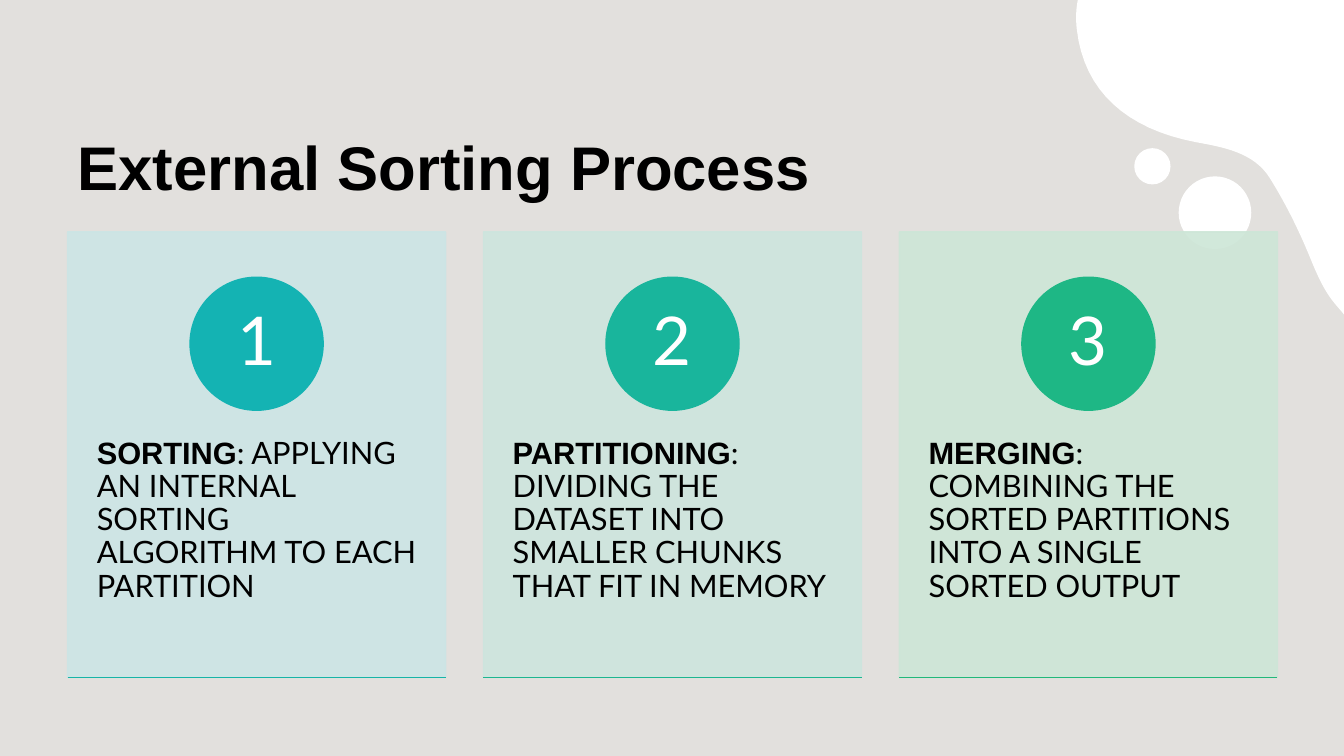
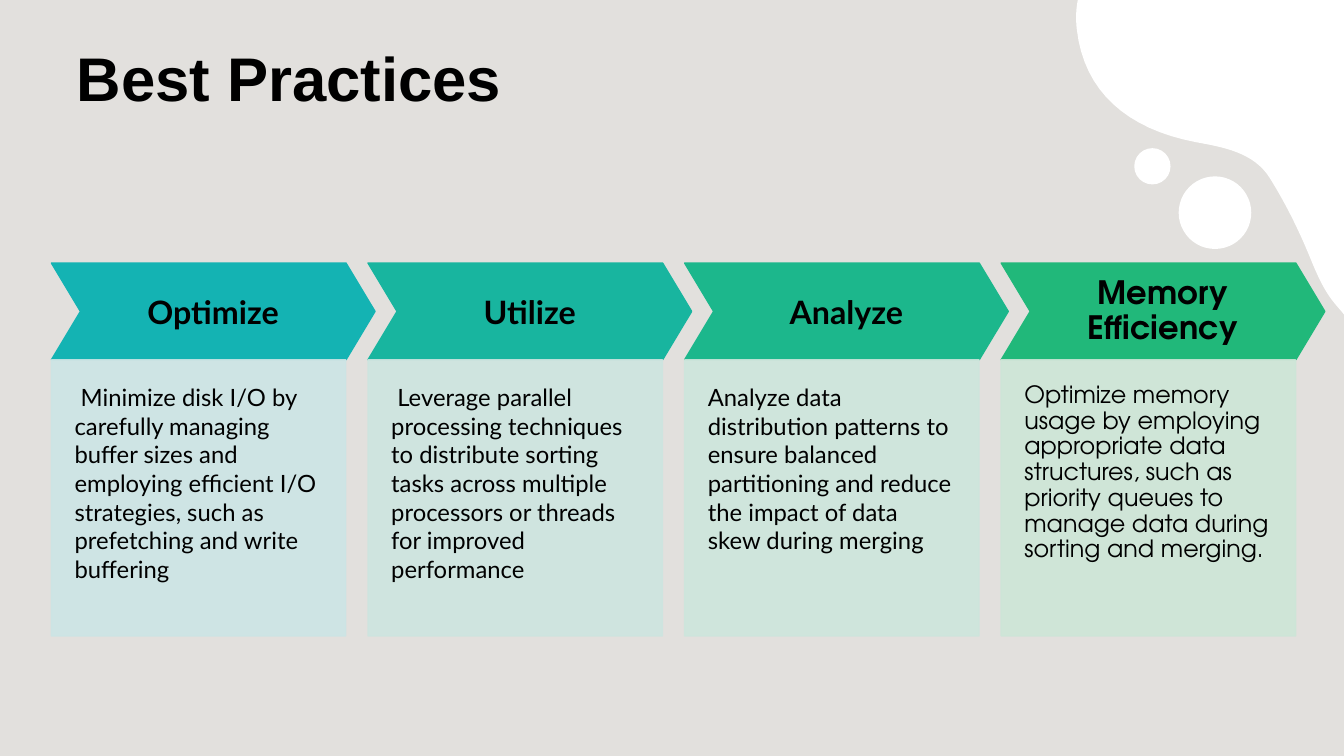
from dataclasses import dataclass

from lxml.etree import SubElement
from pptx import Presentation
from pptx.dml.color import RGBColor
from pptx.enum.shapes import MSO_CONNECTOR as Connector, MSO_SHAPE as Preset
from pptx.enum.text import MSO_ANCHOR as Anchor, MSO_AUTO_SIZE as AutoSize, PP_ALIGN as Align
from pptx.oxml.ns import qn
from pptx.util import Inches, Pt


@dataclass(frozen=True)
class Theme:
    background: str = "E2E0DD"
    white: str = "FFFFFF"
    ink: str = "000000"
    heading_font: str = "Arial"
    body_font: str = "Lato"
    accent_font: str = "TeX Gyre Adventor"
    title_size: int = 44
    number_size: int = 48
    card_size: int = 22
    step_size: int = 23
    detail_size: int = 17
    panel_opacity: int = 90
    tight: float = 0.9


@dataclass(frozen=True)
class Box:
    left: float
    top: float
    width: float
    height: float

    def inches(self):
        return [Inches(value) for value in (self.left, self.top, self.width, self.height)]


THEME = Theme()

# Outline of the corner blob: a start point, then cubic curves (two handles, end)
BLOB_START = (10.69, 0)
BLOB_CURVES = [
    ((10.67, 0.1), (10.67, 0.2), (10.68, 0.29)),
    ((10.75, 0.91), (11.18, 1.28), (11.86, 1.41)),
    ((12.13, 1.46), (12.43, 1.51), (12.59, 1.76)),
    ((12.76, 2.03), (12.9, 2.32), (13.02, 2.62)),
    ((13.08, 2.76), (13.14, 2.89), (13.23, 3)),
    ((13.26, 3.04), (13.3, 3.08), (13.33, 3.12)),
]
BUBBLES = [Box(11.69, 1.75, 0.72, 0.72), Box(11.25, 1.47, 0.36, 0.36)]

# Number colour, panel colour, rule colour, heading, description
CARDS = [
    ("14B3B3", "CCE5E5", "16B4A7", "SORTING",
     ": APPLYING AN INTERNAL SORTING ALGORITHM TO EACH PARTITION"),
    ("19B59C", "CDE5DE", "1CB690", "PARTITIONING",
     ": DIVIDING THE DATASET INTO SMALLER CHUNKS THAT FIT IN MEMORY"),
    ("1EB785", "CDE6D7", "21B87A", "MERGING",
     ": COMBINING THE SORTED PARTITIONS INTO A SINGLE SORTED OUTPUT"),
]

# Chevron colour, panel colour, font, line spacing, heading, description
STEPS = [
    ("14B3B3", "CCE5E5", THEME.body_font, 1.0, "Optimize",
     " Minimize disk I/O by carefully managing buffer sizes and employing efficient I/O "
     "strategies, such as prefetching and write buffering"),
    ("18B59F", "CDE5E0", THEME.body_font, 1.0, "Utilize",
     " Leverage parallel processing techniques to distribute sorting tasks across multiple "
     "processors or threads for improved performance"),
    ("1CB78C", "CDE6DC", THEME.body_font, 1.0, "Analyze",
     "Analyze data distribution patterns to ensure balanced partitioning and reduce the "
     "impact of data skew during merging"),
    ("21B87A", "CDE6D7", THEME.accent_font, THEME.tight, "Memory Efficiency",
     "Optimize memory usage by employing appropriate data structures, such as priority "
     "queues to manage data during sorting and merging."),
]


def paint(shape, colour, opacity=100):
    """Give fill and outline one colour, without a shadow."""
    shape.shadow.inherit = False
    shape.fill.solid()
    shape.fill.fore_color.rgb = RGBColor.from_string(colour)
    shape.line.color.rgb = RGBColor.from_string(colour)
    shape.line.width = Pt(1)
    if opacity < 100:
        for node in shape.element.spPr.iter(qn("a:srgbClr")):
            SubElement(node, qn("a:alpha"), val=str(opacity * 1000))


def add_preset(page, preset, box, colour, opacity=100):
    shape = page.shapes.add_shape(preset, *box.inches())
    paint(shape, colour, opacity)
    return shape


def set_frame(frame, anchor, insets):
    frame.word_wrap = True
    frame.auto_size = AutoSize.NONE
    frame.vertical_anchor = anchor
    (frame.margin_left, frame.margin_top,
     frame.margin_right, frame.margin_bottom) = [Inches(inset) for inset in insets]


def style_paragraph(para, size, font, colour=THEME.ink, align=Align.LEFT, bold=None, spacing=1.0):
    para.alignment = align
    para.line_spacing = spacing
    para.font.size = Pt(size)
    para.font.name = font
    para.font.bold = bold
    para.font.color.rgb = RGBColor.from_string(colour)


def write(shape, text, anchor, insets, size, font, **style):
    set_frame(shape.text_frame, anchor, insets)
    para = shape.text_frame.paragraphs[0]
    para.text = text
    style_paragraph(para, size, font, **style)


def add_blob(page):
    # Large corner shape, its curves sampled into short segments
    count = 16
    start, points = BLOB_START, []
    for first, second, end in BLOB_CURVES:
        for index in range(1, count + 1):
            t = index / count
            weights = ((1 - t) ** 3, 3 * t * (1 - t) ** 2, 3 * t ** 2 * (1 - t), t ** 3)
            points.append(tuple(
                Inches(sum(weight * knot[axis] for weight, knot
                           in zip(weights, (start, first, second, end))))
                for axis in (0, 1)))
        start = end
    points.append((Inches(13.33), 0))
    builder = page.shapes.build_freeform(*[Inches(value) for value in BLOB_START])
    builder.add_line_segments(points, close=True)
    blob = builder.convert_to_shape()
    paint(blob, THEME.white)
    blob.line.fill.background()

    # Two bubbles beside it
    for box in BUBBLES:
        add_preset(page, Preset.OVAL, box, THEME.white).line.fill.background()


def add_page(deck, title, title_box):
    page = deck.slides.add_slide(deck.slide_layouts.get_by_name("Title Only"))
    add_blob(page)
    holder = page.shapes.title
    holder.left, holder.top, holder.width, holder.height = title_box.inches()
    write(holder, title, Anchor.BOTTOM, (0.1, 0.05, 0.1, 0.05),
          THEME.title_size, THEME.heading_font, bold=True)
    return page


def add_card(page, box, number, card):
    number_colour, panel_colour, rule_colour, heading, description = card

    # Panel with the description
    panel = add_preset(page, Preset.RECTANGLE, box, panel_colour, THEME.panel_opacity)
    set_frame(panel.text_frame, Anchor.TOP, (0.29, 2.04, 0.29, 0.36))
    para = panel.text_frame.paragraphs[0]
    style_paragraph(para, THEME.card_size, THEME.body_font, spacing=THEME.tight)
    lead = para.add_run()
    lead.text = heading
    lead.font.name = THEME.heading_font
    lead.font.bold = True
    para.add_run().text = description

    # Numbered circle
    side = 1.32
    circle_box = Box(box.left + (box.width - side) / 2, box.top + 0.45, side, side)
    circle = add_preset(page, Preset.OVAL, circle_box, number_colour)
    write(circle, str(number), Anchor.MIDDLE, (0.1, 0.01, 0.1, 0.01), THEME.number_size,
          THEME.body_font, colour=THEME.white, align=Align.CENTER, spacing=THEME.tight)

    # Rule along the bottom
    bottom = Inches(box.top + box.height)
    rule = page.shapes.add_connector(
        Connector.STRAIGHT, Inches(box.left), bottom, Inches(box.left + box.width), bottom)
    rule.line.color.rgb = RGBColor.from_string(rule_colour)
    rule.line.width = Pt(1)
    SubElement(rule.element.spPr, qn("a:effectLst"))


def add_step(page, box, step):
    colour, panel_colour, font, spacing, heading, description = step
    head_height, point = 0.96, 0.29

    # Chevron heading
    head_box = Box(box.left, box.top, box.width, head_height)
    chevron = add_preset(page, Preset.CHEVRON, head_box, colour)
    chevron.adjustments[0] = 0.3
    write(chevron, heading, Anchor.MIDDLE, (0.12,) * 4, THEME.step_size, font,
          align=Align.CENTER, bold=True, spacing=spacing)

    # Panel below, as wide as the chevron without its point
    panel_box = Box(box.left, box.top + head_height,
                    box.width - point, box.height - head_height)
    panel = add_preset(page, Preset.RECTANGLE, panel_box, panel_colour, THEME.panel_opacity)
    write(panel, description, Anchor.TOP, (0.23, 0.23, 0.23, 0.46),
          THEME.detail_size, font, spacing=spacing)


def add_process_slide(deck):
    page = add_page(deck, "External Sorting Process", Box(0.67, 0.61, 12, 1.45))
    area = Box(0.67, 2.3, 12, 4.42)
    width = 3.75
    pitch = (area.width - width) / (len(CARDS) - 1)
    for index, card in enumerate(CARDS):
        box = Box(area.left + index * pitch, area.top, width, area.height)
        add_card(page, box, index + 1, card)


def add_practices_slide(deck):
    page = add_page(deck, " Best Practices", Box(0.49, 0.25, 12, 0.93))
    area = Box(0.51, 2.61, 12.63, 3.7)
    width = 3.21
    pitch = (area.width - width) / (len(STEPS) - 1)
    for index, step in enumerate(STEPS):
        add_step(page, Box(area.left + index * pitch, area.top, width, area.height), step)


def main():
    deck = Presentation()
    deck.slide_width, deck.slide_height = Inches(13.33), Inches(7.5)
    fill = deck.slide_master.background.fill
    fill.solid()
    fill.fore_color.rgb = RGBColor.from_string(THEME.background)
    add_process_slide(deck)
    add_practices_slide(deck)
    deck.save("out.pptx")


if __name__ == "__main__":
    main()
